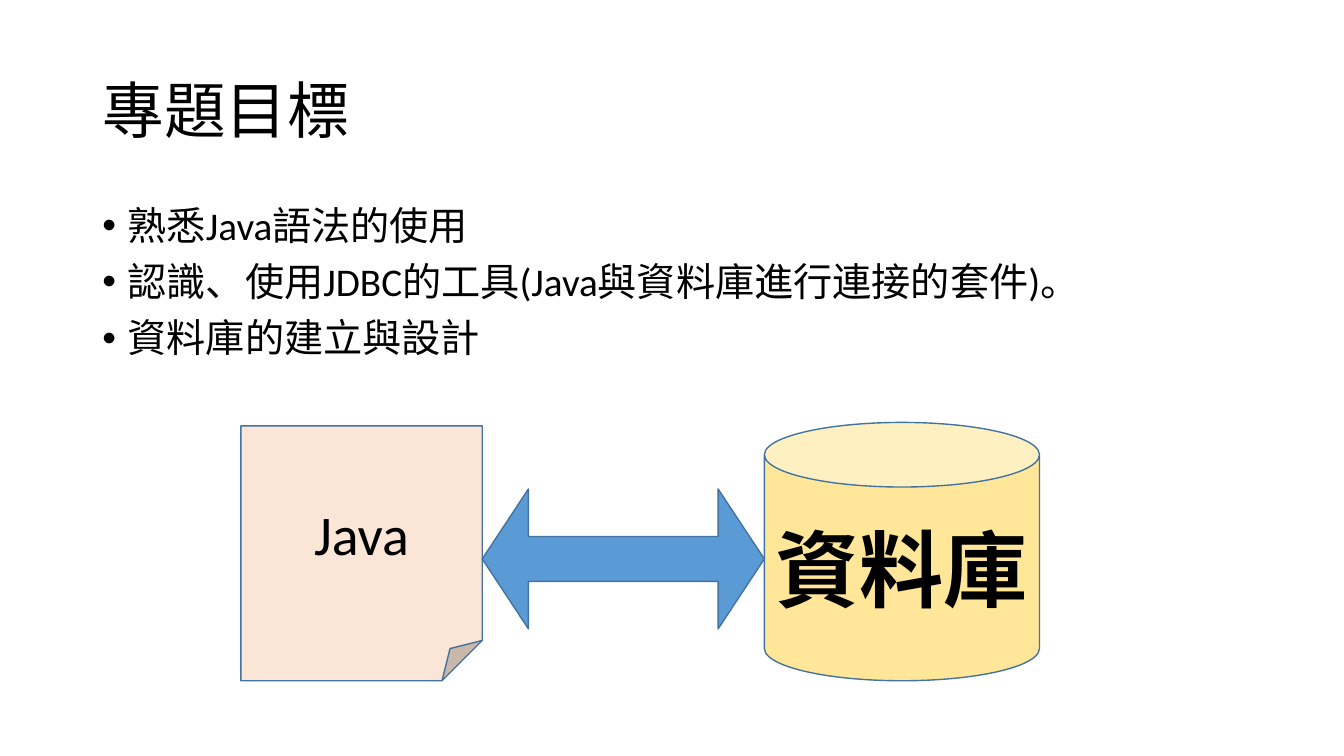
from pptx import Presentation
from pptx.dml.color import RGBColor
from pptx.enum.shapes import MSO_SHAPE
from pptx.enum.text import MSO_ANCHOR, MSO_AUTO_SIZE, PP_ALIGN
from pptx.oxml.ns import qn
from pptx.util import Pt
from lxml import etree

PAGE = MSO_SHAPE.FOLDED_CORNER
CAN = MSO_SHAPE.CAN
ARROW = MSO_SHAPE.LEFT_RIGHT_ARROW
MIDDLE, TOP = MSO_ANCHOR.MIDDLE, MSO_ANCHOR.TOP
LEFT, CENTER = PP_ALIGN.LEFT, PP_ALIGN.CENTER
NO_FIT = MSO_AUTO_SIZE.NONE

BLACK = RGBColor(0x00, 0x00, 0x00)
WHITE = RGBColor(0xFF, 0xFF, 0xFF)
PEACH = RGBColor(0xFB, 0xE5, 0xD6)
YELLOW = RGBColor(0xFF, 0xE6, 0x99)
BLUE = RGBColor(0x5B, 0x9B, 0xD5)
OUTLINE = RGBColor(0x43, 0x73, 0x9E)
LATIN, CJK = "Calibri", "Noto Sans CJK SC"

GOALS = [
    "熟悉Java語法的使用",
    "認識、使用JDBC的工具(Java與資料庫進行連接的套件)。",
    "資料庫的建立與設計",
]


def place(sp, box):
    """Move and size a shape to a box in points."""
    sp.left, sp.top, sp.width, sp.height = (Pt(v) for v in box)


def add_run(p, text, size, font=LATIN, bold=False):
    """Add one formatted run to a paragraph."""
    r = p.add_run()
    r.text = text
    r.font.size, r.font.name, r.font.bold = Pt(size), font, bold
    r.font.color.rgb = BLACK
    ea = etree.SubElement(r.font._element, qn("a:ea"))
    ea.set("typeface", CJK)


def add_bullet(p, indent):
    """Give a paragraph a round bullet with a hanging indent."""
    pPr = p._p.get_or_add_pPr()
    pPr.set("marL", str(Pt(indent)))
    pPr.set("indent", str(-Pt(indent)))
    etree.SubElement(pPr, qn("a:buFont")).set("typeface", "Arial")
    etree.SubElement(pPr, qn("a:buChar")).set("char", "•")


def fill_title(sp, box, text):
    """Place the title and write its text."""
    place(sp, box)
    tf = sp.text_frame
    tf.auto_size, tf.vertical_anchor = NO_FIT, MIDDLE
    p = tf.paragraphs[0]
    p.alignment, p.line_spacing = LEFT, 0.9
    add_run(p, text, 44)


def fill_goals(sp, box, goals):
    """Place the body and write the bulleted goals."""
    place(sp, box)
    tf = sp.text_frame
    tf.auto_size, tf.vertical_anchor = NO_FIT, TOP
    for i, goal in enumerate(goals):
        p = tf.add_paragraph() if i else tf.paragraphs[0]
        p.line_spacing, p.space_before = 0.9, Pt(10)
        add_bullet(p, 18)
        add_run(p, goal, 28)


def add_block(s, kind, box, color):
    """Add an outlined preset shape."""
    sp = s.shapes.add_shape(kind, *(Pt(v) for v in box))
    sp.shadow.inherit = False
    sp.fill.solid()
    sp.fill.fore_color.rgb = color
    sp.line.color.rgb = OUTLINE
    sp.line.width = Pt(1)
    return sp


def add_label(sp, text, size, font=LATIN, bold=False):
    """Centre a label in a shape."""
    tf = sp.text_frame
    tf.word_wrap, tf.vertical_anchor = True, MIDDLE
    p = tf.paragraphs[0]
    p.alignment = CENTER
    add_run(p, text, size, font, bold)


def add_diagram(s, box):
    """Draw the Java page and the database joined by a two-way arrow."""
    x, y, w, h = box
    page_w, can_w, arrow_h = 172.5, 196.5, 100
    page = add_block(s, PAGE, (x, y + 2.5, page_w, h - 2.5), PEACH)
    add_label(page, "Java", 40)
    can = add_block(s, CAN, (x + w - can_w, y, can_w, h), YELLOW)
    add_label(can, "資料庫", 60, CJK, True)
    arrow_box = (x + page_w, y + 47.5, w - page_w - can_w, arrow_h)
    arrow = add_block(s, ARROW, arrow_box, BLUE)
    arrow.adjustments[0], arrow.adjustments[1] = 0.32, 0.33


prs = Presentation()
prs.slide_width, prs.slide_height = Pt(960), Pt(540)
s = prs.slides.add_slide(prs.slide_layouts[1])
s.background.fill.solid()
s.background.fill.fore_color.rgb = WHITE
fill_title(s.shapes.title, (66, 28.75, 828, 104.5), "專題目標")
fill_goals(s.placeholders[1], (66, 143.75, 828, 342.5), GOALS)
add_diagram(s, (172, 301.75, 570.5, 184.5))
prs.save("out.pptx")
